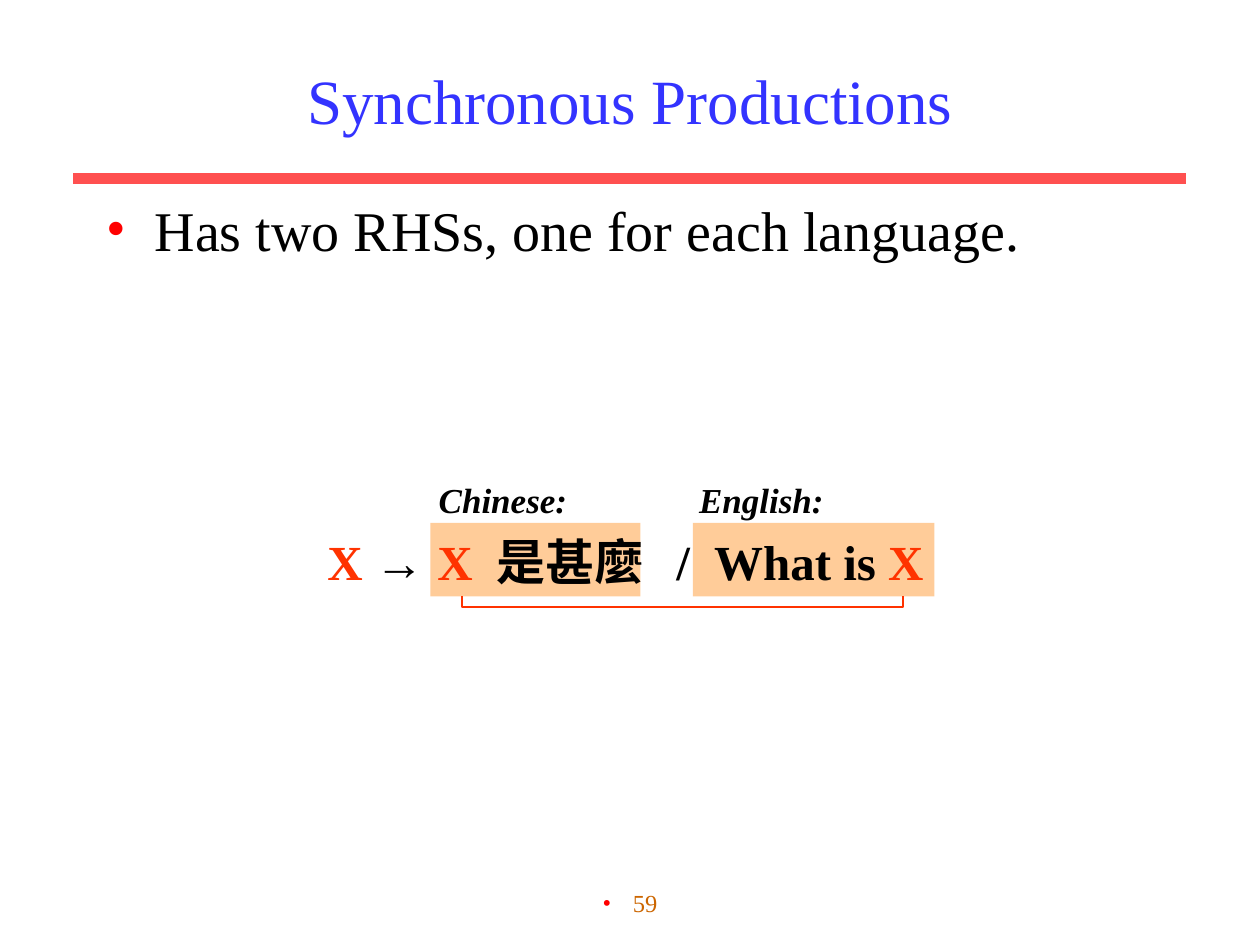
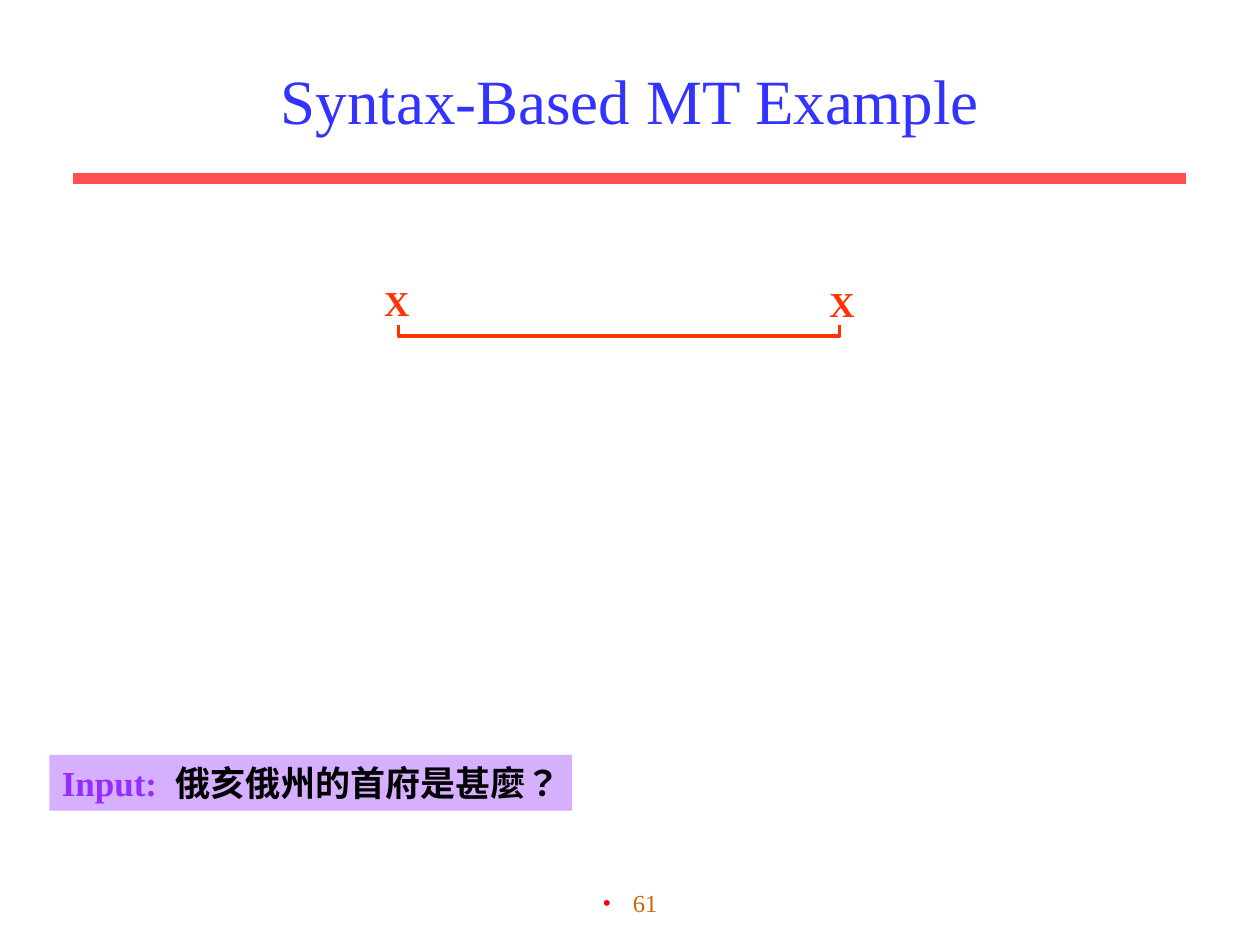
from dataclasses import dataclass

from lxml.etree import SubElement
from pptx import Presentation
from pptx.dml.color import RGBColor
from pptx.enum.lang import MSO_LANGUAGE_ID
from pptx.enum.shapes import MSO_CONNECTOR, MSO_SHAPE
from pptx.enum.text import MSO_ANCHOR, PP_ALIGN
from pptx.oxml import parse_xml
from pptx.oxml.ns import nsdecls, qn
from pptx.util import Inches, Pt


@dataclass(frozen=True)
class Theme:
    font: str = "Times New Roman"
    arrow_font: str = "Arial"
    title: str = "3333FF"
    rule: str = "FF5050"
    bullet: str = "FF0000"
    ink: str = "000000"
    number: str = "CC6600"
    symbol: str = "FF3300"
    phrase: str = "FFCC99"
    input_band: str = "D7AFFF"
    input_label: str = "962DFF"
    title_size: int = 36
    body_size: int = 32
    rule_size: int = 28
    label_size: int = 20
    number_size: int = 14


THEME = Theme()
deck = Presentation()
deck.slide_width, deck.slide_height = Inches(10), Inches(7.5)

# Grid of 120 columns by 90 rows
UNIT = deck.slide_width // 120


def add_block(slide, cell, pieces=(), size=THEME.label_size, fill=None, bold=True, italic=False,
              align=PP_ALIGN.LEFT, wrap=False, bullet_indent=0, tab_stops=()):
    """Place text, given as (words, colour) pieces, on grid cells; a fill makes it a rectangle."""
    area = [round(part * UNIT) for part in cell]
    if fill:
        block = slide.shapes.add_shape(MSO_SHAPE.RECTANGLE, *area)
        block.shadow.inherit = False
        block.fill.solid()
        block.fill.fore_color.rgb = RGBColor.from_string(fill)
        block.line.fill.background()
    else:
        block = slide.shapes.add_textbox(*area)
    frame = block.text_frame
    frame.word_wrap = wrap
    frame.vertical_anchor = MSO_ANCHOR.TOP
    # Tight labels get their right inset as spare room
    if not wrap and align == PP_ALIGN.LEFT:
        frame.margin_right = 0
    paragraph = frame.paragraphs[0]
    paragraph.alignment = align
    properties = paragraph._p.get_or_add_pPr()
    if bullet_indent:
        properties.set("marL", str(Inches(bullet_indent)))
        properties.set("indent", str(-Inches(bullet_indent)))
        colour = SubElement(properties, qn("a:buClr"))
        SubElement(colour, qn("a:srgbClr"), val=THEME.bullet)
        SubElement(properties, qn("a:buFont"), typeface=THEME.font)
        SubElement(properties, qn("a:buChar"), char="•")
    if tab_stops:
        stops = SubElement(properties, qn("a:tabLst"))
        for stop in tab_stops:
            SubElement(stops, qn("a:tab"), pos=str(Inches(stop)), algn="l")
    for words, colour in pieces:
        run = paragraph.add_run()
        run.text = words
        run.font.name = THEME.arrow_font if "→" in words else THEME.font
        run.font.size = Pt(size)
        run.font.bold = bold
        run.font.italic = italic
        run.font.color.rgb = RGBColor.from_string(colour)
        if "是" in words:
            run.font.language_id = MSO_LANGUAGE_ID.TRADITIONAL_CHINESE
    return block


def add_bracket(slide, left, top, weight):
    """Link two symbols with an open bracket below them."""
    right, bottom = left + 42, top + 1
    outline = slide.shapes.build_freeform(round(left * UNIT), round(top * UNIT))
    corners = [(left, bottom), (right, bottom), (right, top)]
    outline.add_line_segments([(round(x * UNIT), round(y * UNIT)) for x, y in corners], close=False)
    bracket = outline.convert_to_shape()
    bracket.shadow.inherit = False
    bracket.fill.background()
    bracket.line.color.rgb = RGBColor.from_string(THEME.symbol)
    bracket.line.width = Pt(weight)


# Shared frame: rule, page number and title
slides = []
for title, number in (("Synchronous Productions", "59"), ("Syntax-Based MT Example", "61")):
    slide = deck.slides.add_slide(deck.slide_layouts[6])
    rule = slide.shapes.add_connector(MSO_CONNECTOR.STRAIGHT, 7 * UNIT, 17 * UNIT, 113 * UNIT, 17 * UNIT)
    rule.line.color.rgb = RGBColor.from_string(THEME.rule)
    rule.line.width = Pt(6)
    rule._element.spPr.append(parse_xml(f"<a:effectLst {nsdecls('a')}/>"))
    add_block(slide, (41, 84, 38, 6), [(number, THEME.number)], THEME.number_size, bold=False,
              align=PP_ALIGN.CENTER, wrap=True, bullet_indent=0.24)
    heading = add_block(slide, (9, 3, 102, 13), [(title, THEME.title)], THEME.title_size,
                        bold=False, align=PP_ALIGN.CENTER, wrap=True)
    heading.text_frame.vertical_anchor = MSO_ANCHOR.MIDDLE
    slides.append(slide)
productions, example = slides

# Synchronous production: both right-hand sides on coloured phrases
for left, width in ((41, 20), (66, 23)):
    add_block(productions, (left, 49.8, width, 7), fill=THEME.phrase)
add_block(productions, (30, 50, 60, 6.8),
          [("X ", THEME.symbol), ("→ ", THEME.ink), ("X", THEME.symbol),
           ("\t是甚麼\t/\tWhat is ", THEME.ink), ("X", THEME.symbol)],
          THEME.rule_size, wrap=True, tab_stops=(1.34, 2.77, 3.07))
for language, left in (("Chinese:", 40.6), ("English:", 65.4)):
    add_block(productions, (left, 45, 14.6, 5.3), [(language, THEME.ink)], italic=True)
add_bracket(productions, 44, 56.8, 1.5)
add_block(productions, (9, 18, 102, 61.5), [("Has two RHSs, one for each language.", THEME.ink)],
          THEME.body_size, bold=False, wrap=True, bullet_indent=0.38)

# Example: linked start symbols and the input sentence
for left, top in ((77.8, 26.3), (35.4, 26.2)):
    add_block(example, (left, top, 4.8, 5.3), [("X", THEME.symbol)], align=PP_ALIGN.CENTER)
add_bracket(example, 38, 31, 1.75)
add_block(example, (4.7, 71.9, 49.8, 5.3),
          [("Input:", THEME.input_label), ("\t俄亥俄州的首府是甚麼？", THEME.ink)],
          fill=THEME.input_band, tab_stops=(0.9,))

deck.save("out.pptx")
